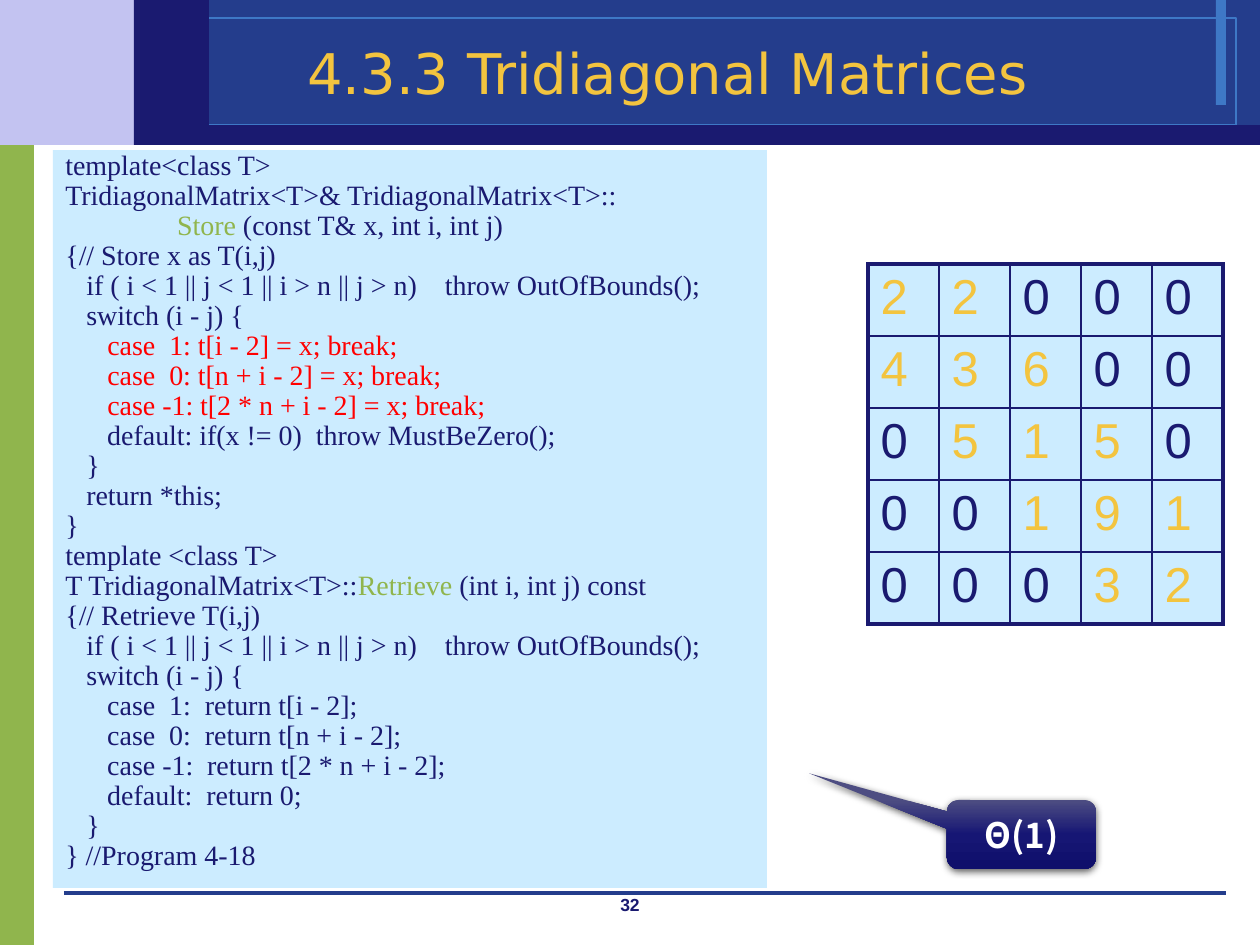
import copy
import pptx
import pptx.dml.color
import pptx.enum.shapes
import pptx.enum.text
import pptx.oxml
import pptx.oxml.ns
import pptx.util
from lxml import etree

PX = 914400 // 126
NAVY, BLUE, SKY, GOLD = "1A1A70", "243D8C", "3E78C6", "F3C43F"
GREEN, LILAC, PALE, RED, WHITE = "90B54D", "C3C3F1", "CCECFF", "FF0000", "FFFFFF"
SHAPES = pptx.enum.shapes.MSO_SHAPE
ANCHORS = pptx.enum.text.MSO_ANCHOR
CENTER = pptx.enum.text.PP_ALIGN.CENTER

BANDS = [
    ((0, 135, 34, 810), GREEN, None),
    ((0, 0, 193, 145), LILAC, None),
    ((193, 0, 1067, 145), BLUE, None),
    ((1216, 0, 10, 105), SKY, None),
    ((150, 18, 1086, 107), None, SKY),
    ((164, 125, 1096, 20), NAVY, None),
    ((134, 0, 75, 145), NAVY, None),
]
TITLE = "4.3.3 Tridiagonal Matrices"
PAGE_NUMBER = "32"
COST = "Θ(1)"
CODE = [
    [("template<class T>", NAVY)],
    [("TridiagonalMatrix<T>& TridiagonalMatrix<T>::", NAVY)],
    [("                ", NAVY), ("Store", GREEN), (" (const T& x, int i, int j)", NAVY)],
    [("{// Store x as T(i,j)", NAVY)],
    [("   if ( i < 1 || j < 1 || i > n || j > n)    throw OutOfBounds();", NAVY)],
    [("   switch (i - j) {", NAVY)],
    [("      ", NAVY), ("case  1: t[i - 2] = x; break;", RED)],
    [("      ", NAVY), ("case  0: t[n + i - 2] = x; break;", RED)],
    [("      ", NAVY), ("case -1: t[2 * n + i - 2] = x; break;", RED)],
    [("      default: if(x != 0)  throw MustBeZero();", NAVY)],
    [("   }", NAVY)],
    [("   return *this;", NAVY)],
    [("}", NAVY)],
    [("template <class T>", NAVY)],
    [("T TridiagonalMatrix<T>::", NAVY), ("Retrieve", GREEN), (" (int i, int j) const", NAVY)],
    [("{// Retrieve T(i,j)", NAVY)],
    [("   if ( i < 1 || j < 1 || i > n || j > n)    throw OutOfBounds();", NAVY)],
    [("   switch (i - j) {", NAVY)],
    [("      case  1:  return t[i - 2];", NAVY)],
    [("      case  0:  return t[n + i - 2];", NAVY)],
    [("      case -1:  return t[2 * n + i - 2];", NAVY)],
    [("      default:  return 0;", NAVY)],
    [("   }", NAVY)],
    [("} //Program 4-18", NAVY)],
]
MATRIX = [
    [2, 2, 0, 0, 0],
    [4, 3, 6, 0, 0],
    [0, 5, 1, 5, 0],
    [0, 0, 1, 9, 1],
    [0, 0, 0, 3, 2],
]
CALLOUT_STOPS = [(0, "4D4D82"), (0.5, "161674"), (1, "0F0F6B")]


def color(value):
    return pptx.dml.color.RGBColor.from_string(value)


def scaled(box):
    return [length * PX for length in box]


def add_run(paragraph, text, font, size, value, bold=False):
    run = paragraph.add_run()
    run.text = text
    run.font.name = font
    run.font.size = pptx.util.Pt(size)
    run.font.bold = bold
    run.font.color.rgb = color(value)


def add_box(slide, box, fill=None, line=None, kind=SHAPES.RECTANGLE):
    shape = slide.shapes.add_shape(kind, *scaled(box))
    shape.shadow.inherit = False
    if fill:
        shape.fill.solid()
        shape.fill.fore_color.rgb = color(fill)
    else:
        shape.fill.background()
    if line:
        shape.line.color.rgb = color(line)
        shape.line.width = 0
    else:
        shape.line.fill.background()
    return shape


def add_label(slide, box, text, font, size, value, bold=False, anchor=ANCHORS.TOP):
    frame = slide.shapes.add_textbox(*scaled(box)).text_frame
    frame.word_wrap = True
    frame.vertical_anchor = anchor
    frame.paragraphs[0].alignment = CENTER
    add_run(frame.paragraphs[0], text, font, size, value, bold)


def add_rule(slide):
    rule = slide.shapes.add_connector(
        pptx.enum.shapes.MSO_CONNECTOR.STRAIGHT, *scaled((64, 893, 1226, 893)))
    rule.line.color.rgb = color(BLUE)
    rule.line.width = 0
    etree.SubElement(rule._element.spPr, pptx.oxml.ns.qn("a:effectLst"))


def add_code(slide):
    frame = add_box(slide, (53, 150, 714, 738), PALE).text_frame
    frame.word_wrap = True
    frame.vertical_anchor = ANCHORS.TOP
    for index, runs in enumerate(CODE):
        paragraph = frame.add_paragraph() if index else frame.paragraphs[0]
        paragraph.alignment = pptx.enum.text.PP_ALIGN.LEFT
        paragraph.line_spacing = 0.7
        paragraph.space_before = pptx.util.Pt(3.7 if index else 0)
        properties = paragraph._p.get_or_add_pPr()
        properties.set("marL", str(48 * PX))
        properties.set("indent", str(-48 * PX))
        for text, value in runs:
            add_run(paragraph, text, "Times New Roman", 16, value)


def add_callout(slide):
    shape = add_box(slide, (947, 800, 149, 69), NAVY,
                    kind=SHAPES.ROUNDED_RECTANGULAR_CALLOUT)
    for index, value in enumerate((-1.426, -0.888, 0.167)):
        shape.adjustments[index] = value
    shape.fill.gradient()
    shape.fill.gradient_angle = 270
    stop_list = shape._element.spPr.find(".//" + pptx.oxml.ns.qn("a:gsLst"))
    stop_list.append(copy.deepcopy(stop_list[0]))
    for stop, (position, value) in zip(shape.fill.gradient_stops, CALLOUT_STOPS):
        stop.position = position
        stop.color.rgb = color(value)
    effects = shape._element.spPr.find(pptx.oxml.ns.qn("a:effectLst"))
    effects.append(pptx.oxml.parse_xml(
        f'<a:outerShdw {pptx.oxml.ns.nsdecls("a")} blurRad="57150" dist="19050" '
        'dir="5400000" algn="ctr" rotWithShape="0"><a:srgbClr val="000000">'
        '<a:alpha val="63000"/></a:srgbClr></a:outerShdw>'))
    frame = shape.text_frame
    frame.vertical_anchor = ANCHORS.MIDDLE
    frame.paragraphs[0].alignment = CENTER
    add_run(frame.paragraphs[0], COST, "Noto Sans CJK SC", 20, WHITE, True)


def set_borders(cell, outer_sides):
    properties = cell._tc.get_or_add_tcPr()
    for index, (side, outer) in enumerate(outer_sides.items()):
        width = pptx.util.Pt(2.25 if outer else 1)
        properties.insert(index, pptx.oxml.parse_xml(
            f'<a:{side} {pptx.oxml.ns.nsdecls("a")} w="{int(width)}"><a:solidFill>'
            f'<a:srgbClr val="{NAVY}"/></a:solidFill></a:{side}>'))


def add_matrix(slide):
    count = len(MATRIX)
    table = slide.shapes.add_table(
        count, count, *scaled((868, 264, 71 * count, 72 * count))).table
    table.first_row = False
    table.horz_banding = False
    last = count - 1
    for row, values in enumerate(MATRIX):
        for column, value in enumerate(values):
            cell = table.cell(row, column)
            cell.fill.solid()
            cell.fill.fore_color.rgb = color(PALE)
            on_band = abs(row - column) <= 1
            add_run(cell.text_frame.paragraphs[0], str(value), "Arial", 28,
                    GOLD if on_band else NAVY)
            set_borders(cell, {"lnL": column == 0, "lnR": column == last,
                               "lnT": row == 0, "lnB": row == last})


def main():
    presentation = pptx.Presentation()
    presentation.slide_width, presentation.slide_height = scaled((1260, 945))
    slide = presentation.slides.add_slide(presentation.slide_layouts[6])
    for box, fill, line in BANDS:
        add_box(slide, box, fill, line)
    add_rule(slide)
    add_label(slide, (483, 888, 294, 32), PAGE_NUMBER, "Arial", 10, NAVY, True)
    add_label(slide, (150, 33, 1036, 78), TITLE, "DejaVu Sans", 32, GOLD,
              anchor=ANCHORS.MIDDLE)
    add_code(slide)
    add_callout(slide)
    add_matrix(slide)
    presentation.save("out.pptx")


if __name__ == "__main__":
    main()
